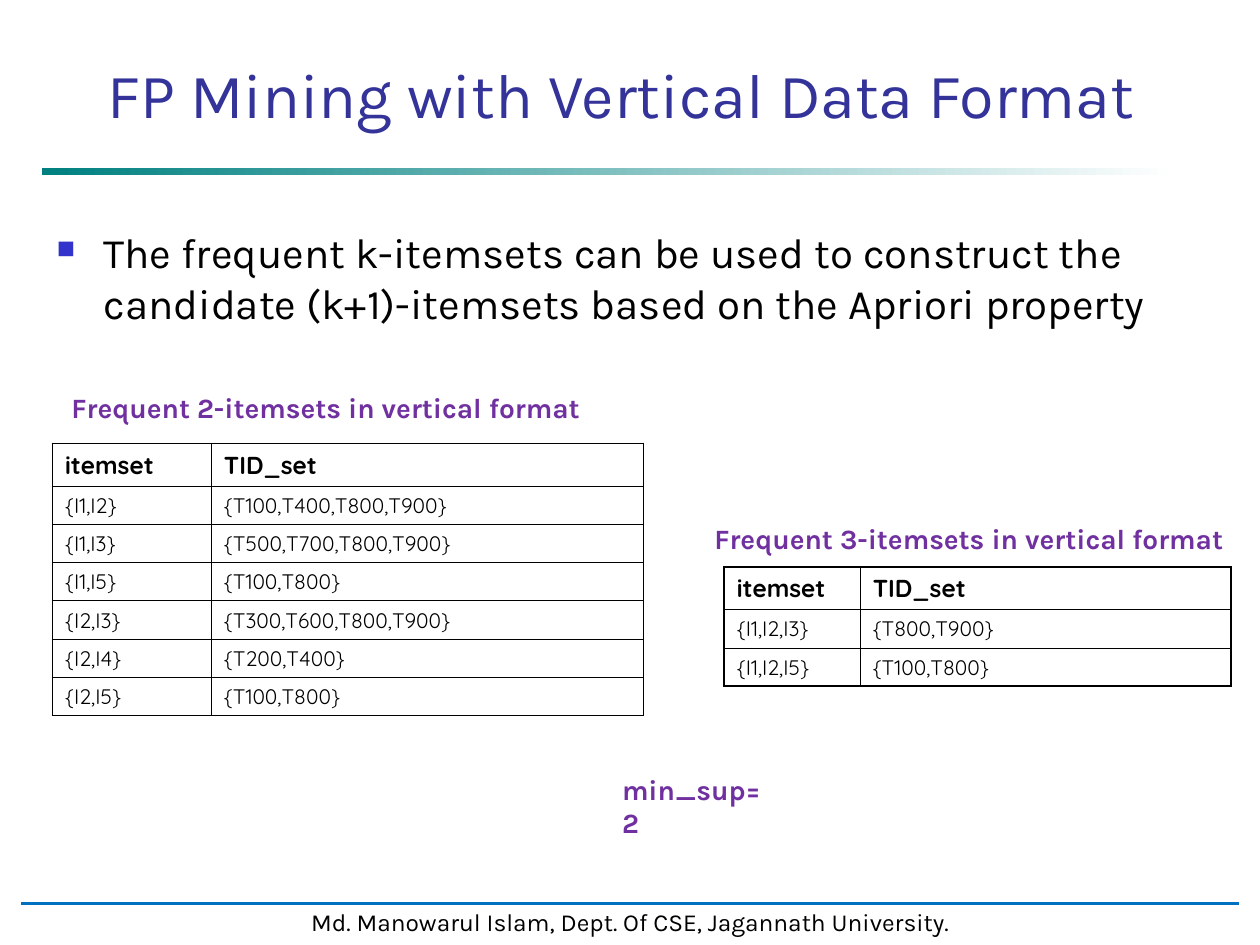
from dataclasses import dataclass
from lxml import etree
from pptx import Presentation
from pptx.dml.color import RGBColor
from pptx.enum.shapes import MSO_CONNECTOR, MSO_SHAPE
from pptx.enum.text import MSO_ANCHOR, MSO_AUTO_SIZE, PP_ALIGN
from pptx.oxml.ns import qn
from pptx.util import Cm, Pt

RECT = MSO_SHAPE.RECTANGLE
LINE = MSO_CONNECTOR.STRAIGHT
MID, LOW = MSO_ANCHOR.MIDDLE, MSO_ANCHOR.BOTTOM
LEFT, MIDST = PP_ALIGN.LEFT, PP_ALIGN.CENTER
FIXED = MSO_AUTO_SIZE.NONE


@dataclass
class Theme:
    ink: str = "000000"
    white: str = "FFFFFF"
    title: str = "333399"
    bullet: str = "3333CC"
    label: str = "7030A0"
    teal: str = "008080"
    rule: str = "0070C0"
    face: str = "Karla"
    grid: str = "Quicksand"
    big: int = 36
    body: int = 24
    note: int = 16
    head: int = 14
    cell: int = 12


theme = Theme()


def style(para, size, color, face=theme.face, bold=False, align=LEFT):
    para.alignment = align
    font = para.font
    font.name, font.size, font.bold = face, Pt(size), bold
    font.color.rgb = RGBColor.from_string(color)


def border(cell, side, width):
    line = etree.SubElement(cell._tc.get_or_add_tcPr(), qn(f"a:ln{side}"), w=str(Pt(width)))
    fill = etree.SubElement(line, qn("a:solidFill"))
    etree.SubElement(fill, qn("a:srgbClr"), val=theme.ink)


prs = Presentation()
prs.slide_width, prs.slide_height = Cm(25.4), Cm(19.05)
slide = prs.slides.add_slide(prs.slide_layouts[5])
shapes = slide.shapes

title = shapes.title
title.left, title.top, title.width, title.height = Cm(1.7), Cm(1.07), Cm(21.64), Cm(1.7)
frame = title.text_frame
frame.text = "FP Mining with Vertical Data Format"
frame.word_wrap, frame.auto_size, frame.vertical_anchor = True, FIXED, LOW
style(frame.paragraphs[0], theme.big, theme.title, align=MIDST)

bar = shapes.add_shape(RECT, Cm(0.84), Cm(3.38), Cm(22.86), Cm(0.14))
bar.shadow.inherit = False
bar.line.fill.background()
bar.fill.gradient()
bar.fill.gradient_angle = 0
for stop, color in zip(bar.fill.gradient_stops, (theme.teal, theme.white)):
    stop.color.rgb = RGBColor.from_string(color)

foot = shapes.add_shape(RECT, Cm(0.43), Cm(18.16), Cm(24.56), Cm(0.84))
foot.shadow.inherit = False
foot.fill.solid()
foot.fill.fore_color.rgb = RGBColor.from_string(theme.white)
foot.line.color.rgb = RGBColor.from_string(theme.white)
foot.line.width = Pt(2)
frame = foot.text_frame
frame.text = "Md. Manowarul Islam, Dept. Of CSE, Jagannath University."
frame.word_wrap, frame.vertical_anchor = False, MID
style(frame.paragraphs[0], theme.head, theme.ink, align=MIDST)

rule = shapes.add_connector(LINE, Cm(0.43), Cm(18.21), Cm(24.97), Cm(18.21))
rule.line.color.rgb = RGBColor.from_string(theme.rule)
rule.line.width = Pt(1.75)
etree.SubElement(rule._element.spPr, qn("a:effectLst"))

body = shapes.add_textbox(Cm(0.89), Cm(4.45), Cm(23.72), Cm(3.61))
frame = body.text_frame
frame.word_wrap = True
frame.text = ("The frequent k-itemsets can be used to construct the "
              "candidate (k+1)-itemsets based on the Apriori property")
para = frame.paragraphs[0]
props = para._p.get_or_add_pPr()
props.set("marL", str(Cm(0.95)))
props.set("indent", str(-Cm(0.95)))
tint = etree.SubElement(props, qn("a:buClr"))
etree.SubElement(tint, qn("a:srgbClr"), val=theme.bullet)
etree.SubElement(props, qn("a:buSzPct"), val="60000")
etree.SubElement(props, qn("a:buChar"), char="■")
style(para, theme.body, theme.ink)

labels = [
    ("Frequent 2-itemsets in vertical format", 1.19, 7.75, 11.23),
    ("Frequent 3-itemsets in vertical format", 14.15, 10.39, 11.23),
    ("min_sup=2", 12.29, 15.44, 3.48),
]
for text, left, top, width in labels:
    frame = shapes.add_textbox(Cm(left), Cm(top), Cm(width), Cm(0.94)).text_frame
    frame.word_wrap = True
    frame.text = text
    style(frame.paragraphs[0], theme.note, theme.label, bold=True)

header = ("itemset", "TID_set")
pairs = [
    header,
    ("{I1,I2}", "{T100,T400,T800,T900}"),
    ("{I1,I3}", "{T500,T700,T800,T900}"),
    ("{I1,I5}", "{T100,T800}"),
    ("{I2,I3}", "{T300,T600,T800,T900}"),
    ("{I2,I4}", "{T200,T400}"),
    ("{I2,I5}", "{T100,T800}"),
]
triples = [
    header,
    ("{I1,I2,I3}", "{T800,T900}"),
    ("{I1,I2,I5}", "{T100,T800}"),
]
THIN, THICK = 0.45, 1.08
grids = [
    (pairs, 1.06, 8.94, (3.2, 8.71), THIN),
    (triples, 14.6, 11.43, (2.74, 7.47), THICK),
]
for rows, left, top, widths, base in grids:
    tall = 0.86 + 0.77 * (len(rows) - 1)
    table = shapes.add_table(len(rows), 2, Cm(left), Cm(top), Cm(sum(widths)), Cm(tall)).table
    table.first_row = table.horz_banding = False
    for col, width in zip(table.columns, widths):
        col.width = Cm(width)
    for r, row in enumerate(rows):
        top_row, last = r == 0, r == len(rows) - 1
        table.rows[r].height = Cm(0.86 if top_row else 0.77)
        for c, text in enumerate(row):
            cell = table.cell(r, c)
            cell.text = text
            style(cell.text_frame.paragraphs[0], theme.head if top_row else theme.cell,
                  theme.ink, theme.grid, top_row)
            border(cell, "L", THIN if c else THICK)
            border(cell, "R", THICK if c else THIN)
            border(cell, "T", THICK if top_row else THIN)
            border(cell, "B", base if last else THIN)
            cell.fill.background()

prs.save("out.pptx")
